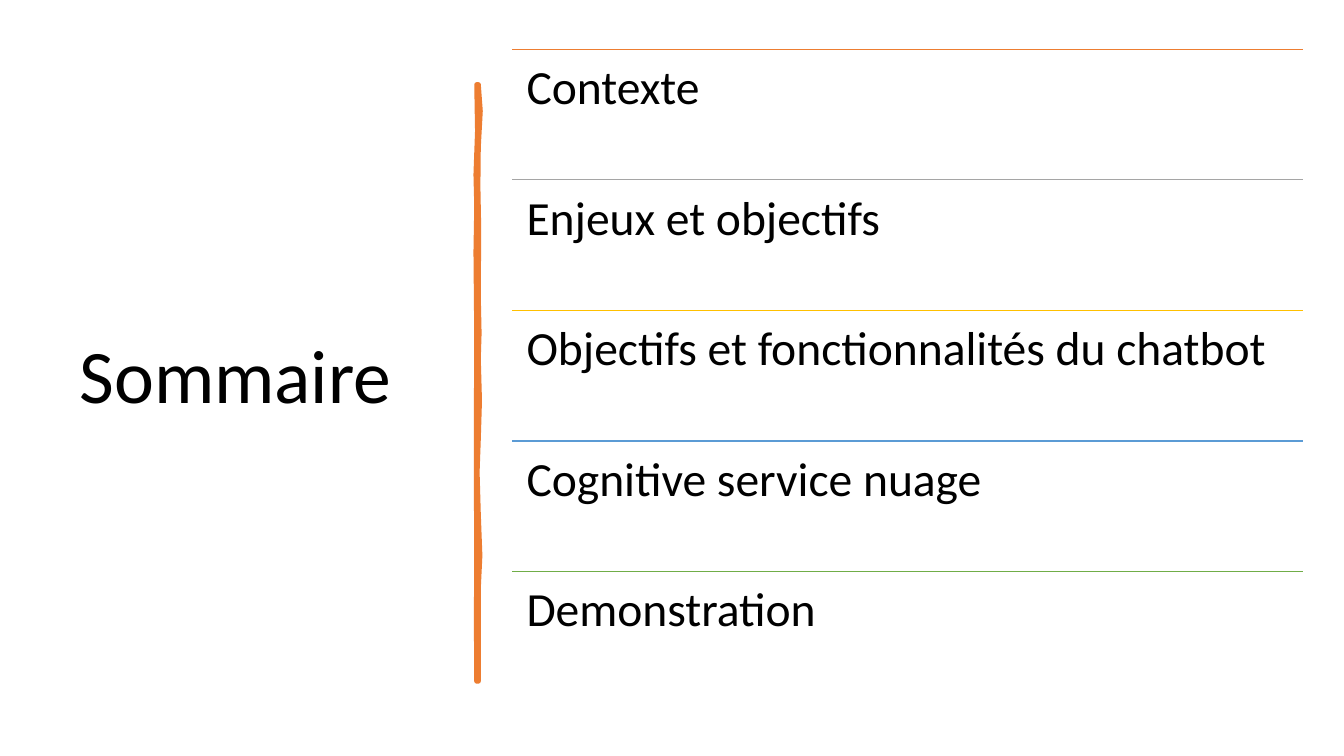
"""Build the agenda slide: a title, a brushed divider and five ruled topics."""
import pptx
import pptx.dml.color
import pptx.enum.shapes
import pptx.enum.text
import pptx.oxml.ns
import pptx.util
from lxml import etree

Cm = pptx.util.Cm
Pt = pptx.util.Pt
RGBColor = pptx.dml.color.RGBColor

BLACK = RGBColor(0x00, 0x00, 0x00)
ORANGE = RGBColor(0xED, 0x7D, 0x31)
GREY = RGBColor(0xA5, 0xA5, 0xA5)
GOLD = RGBColor(0xFF, 0xC0, 0x00)
BLUE = RGBColor(0x5B, 0x9B, 0xD5)
GREEN = RGBColor(0x70, 0xAD, 0x47)

TOPICS = [
    ("Contexte", ORANGE),
    ("Enjeux et objectifs", GREY),
    ("Objectifs et fonctionnalités du chatbot", GOLD),
    ("Cognitive service nuage", BLUE),
    ("Demonstration", GREEN),
]
TOPIC_LEFT, TOPIC_TOP = 12.91, 1.24
TOPIC_WIDTH, TOPIC_PITCH = 19.92, 3.29

BRUSH_RIGHT = [
    (12.06, 2.13), (12.11, 2.8), (12.06, 3.71), (12.05, 4.7), (12.07, 5.74),
    (12.06, 7.47), (12.08, 8.4), (12.06, 9.04), (12.09, 10.1), (12.06, 11.07),
    (12.03, 11.9), (12.06, 12.95), (12.1, 14.0), (12.06, 14.83), (12.06, 17.17),
]
BRUSH_LEFT = [
    (12.01, 17.17), (12.0, 15.57), (12.01, 14.15), (12.0, 12.12), (12.0, 10.54),
    (12.01, 8.51), (11.99, 6.35), (12.01, 5.2), (11.99, 4.4), (12.03, 3.3),
    (12.01, 2.13),
]


def write(frame, wording, size):
    """Put one left-aligned run of text in a frame."""
    frame.word_wrap = True
    paragraph = frame.paragraphs[0]
    paragraph.alignment = pptx.enum.text.PP_ALIGN.LEFT
    paragraph.line_spacing = 0.9
    run = paragraph.add_run()
    run.text = wording
    run.font.name = "Calibri"
    run.font.size = Pt(size)
    run.font.color.rgb = BLACK


def place_title(slide, wording):
    """Move the title placeholder to the left column and fill it."""
    title = slide.shapes.title
    title.left, title.top = Cm(1.75), Cm(1.78)
    title.width, title.height = Cm(9.5), Cm(15.52)
    title.text_frame.vertical_anchor = pptx.enum.text.MSO_ANCHOR.MIDDLE
    write(title.text_frame, wording, 54)


def add_brush_divider(slide):
    """Draw the uneven vertical stroke beside the title."""
    outline = [(Cm(x), Cm(y)) for x, y in BRUSH_RIGHT + BRUSH_LEFT]
    builder = slide.shapes.build_freeform(*outline[0])
    builder.add_line_segments(outline[1:], close=True)
    brush = builder.convert_to_shape()
    brush.shadow.inherit = False
    brush.fill.solid()
    brush.fill.fore_color.rgb = ORANGE
    brush.line.color.rgb = ORANGE
    brush.line.width = Pt(3.25)
    etree.SubElement(brush.line._get_or_add_ln(), pptx.oxml.ns.qn("a:round"))


def add_topic(slide, top, wording, color):
    """Draw a coloured rule with its topic below."""
    rule = slide.shapes.add_connector(
        pptx.enum.shapes.MSO_CONNECTOR.STRAIGHT,
        Cm(TOPIC_LEFT), Cm(top), Cm(TOPIC_LEFT + TOPIC_WIDTH), Cm(top))
    rule.line.color.rgb = color
    rule.line.width = Pt(1)
    etree.SubElement(rule._element.spPr, pptx.oxml.ns.qn("a:effectLst"))

    topic = slide.shapes.add_textbox(
        Cm(TOPIC_LEFT), Cm(top), Cm(TOPIC_WIDTH), Cm(TOPIC_PITCH))
    frame = topic.text_frame
    frame.margin_left = frame.margin_right = Cm(0.36)
    frame.margin_top = frame.margin_bottom = Cm(0.36)
    write(frame, wording, 34)


def main():
    """Assemble and save the slide."""
    deck = pptx.Presentation()
    deck.slide_width, deck.slide_height = Cm(33.87), Cm(19.05)
    slide = deck.slides.add_slide(deck.slide_layouts.get_by_name("Title Only"))
    place_title(slide, "Sommaire")
    add_brush_divider(slide)
    for row, (wording, color) in enumerate(TOPICS):
        add_topic(slide, TOPIC_TOP + row * TOPIC_PITCH, wording, color)
    deck.save("out.pptx")


if __name__ == "__main__":
    main()
